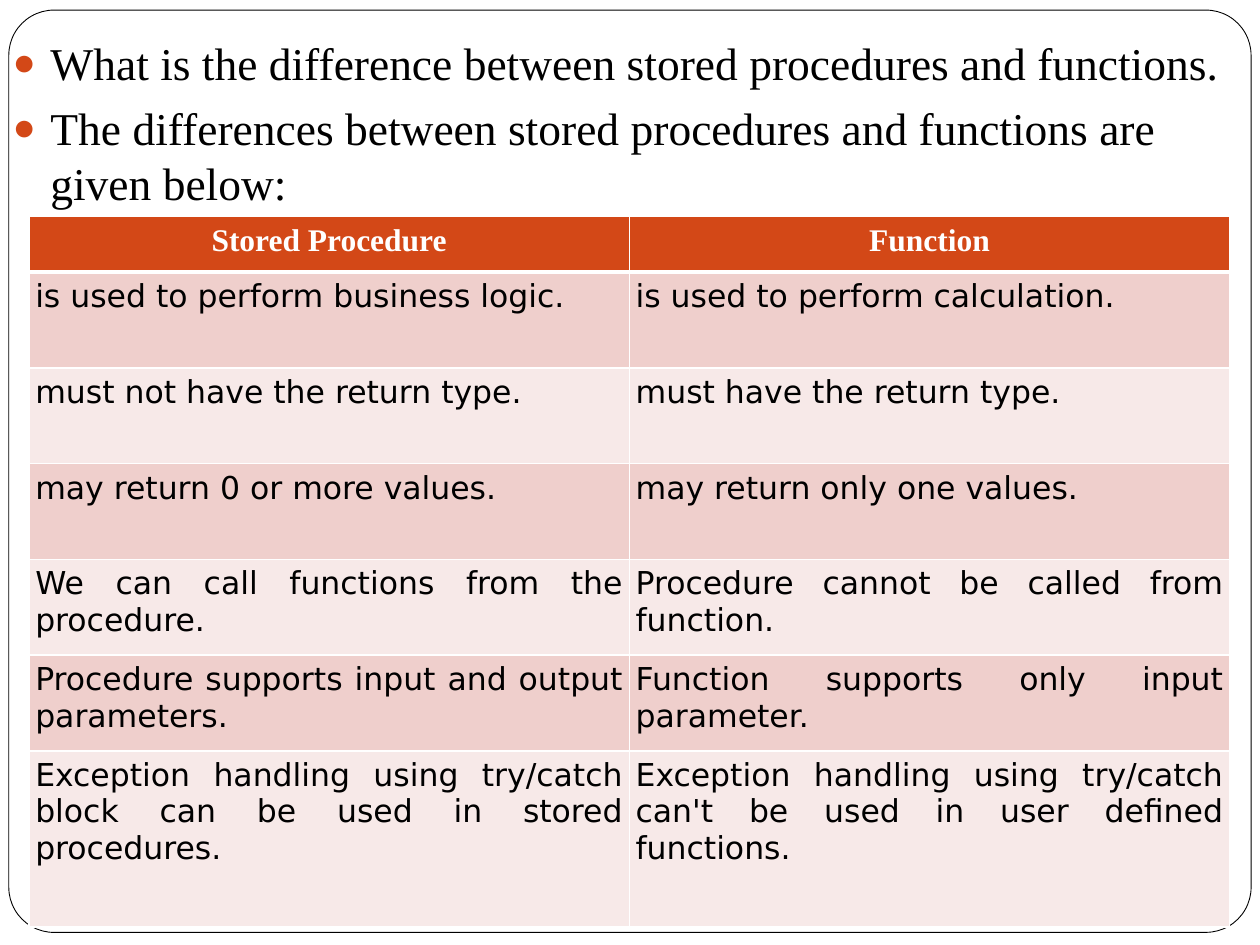
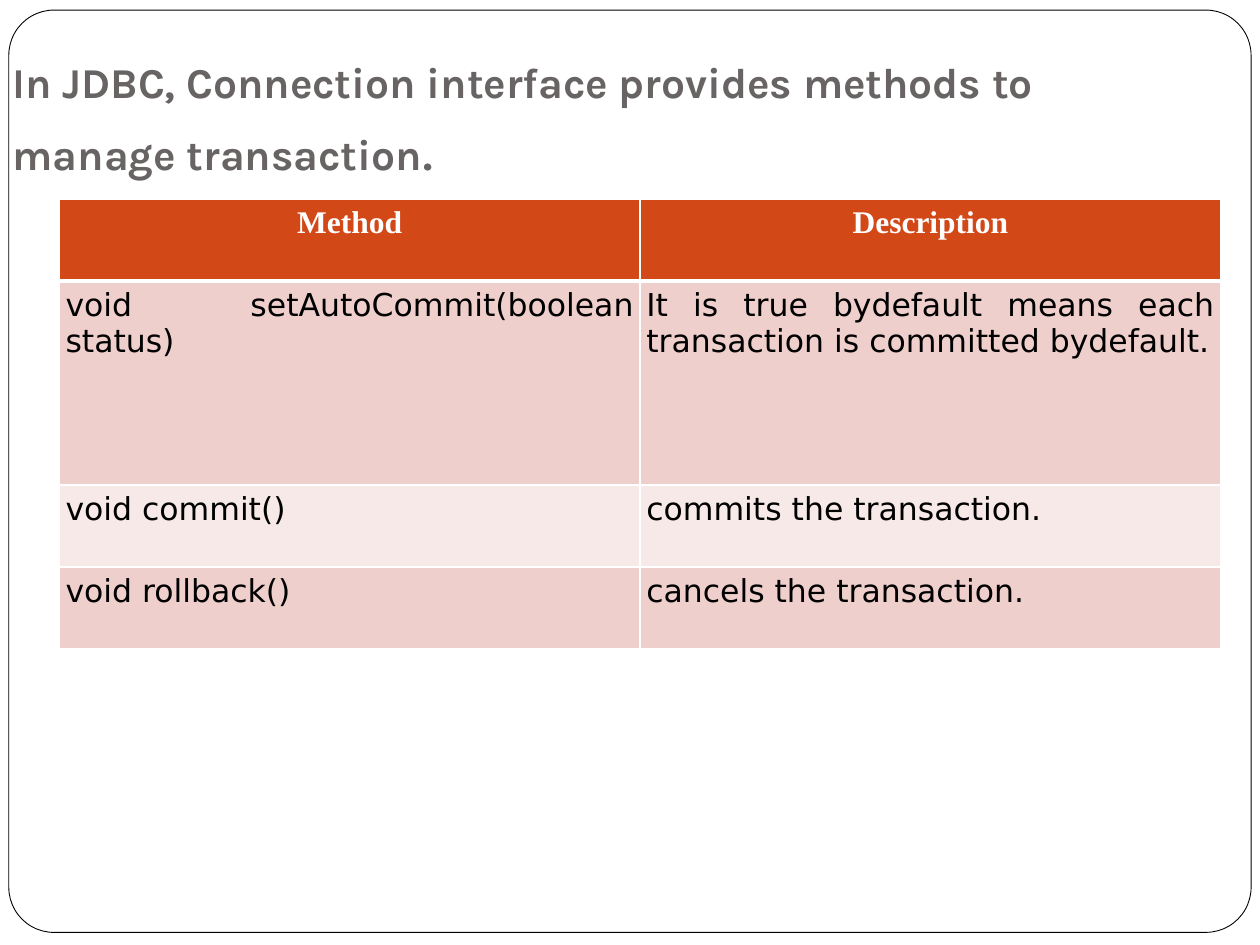
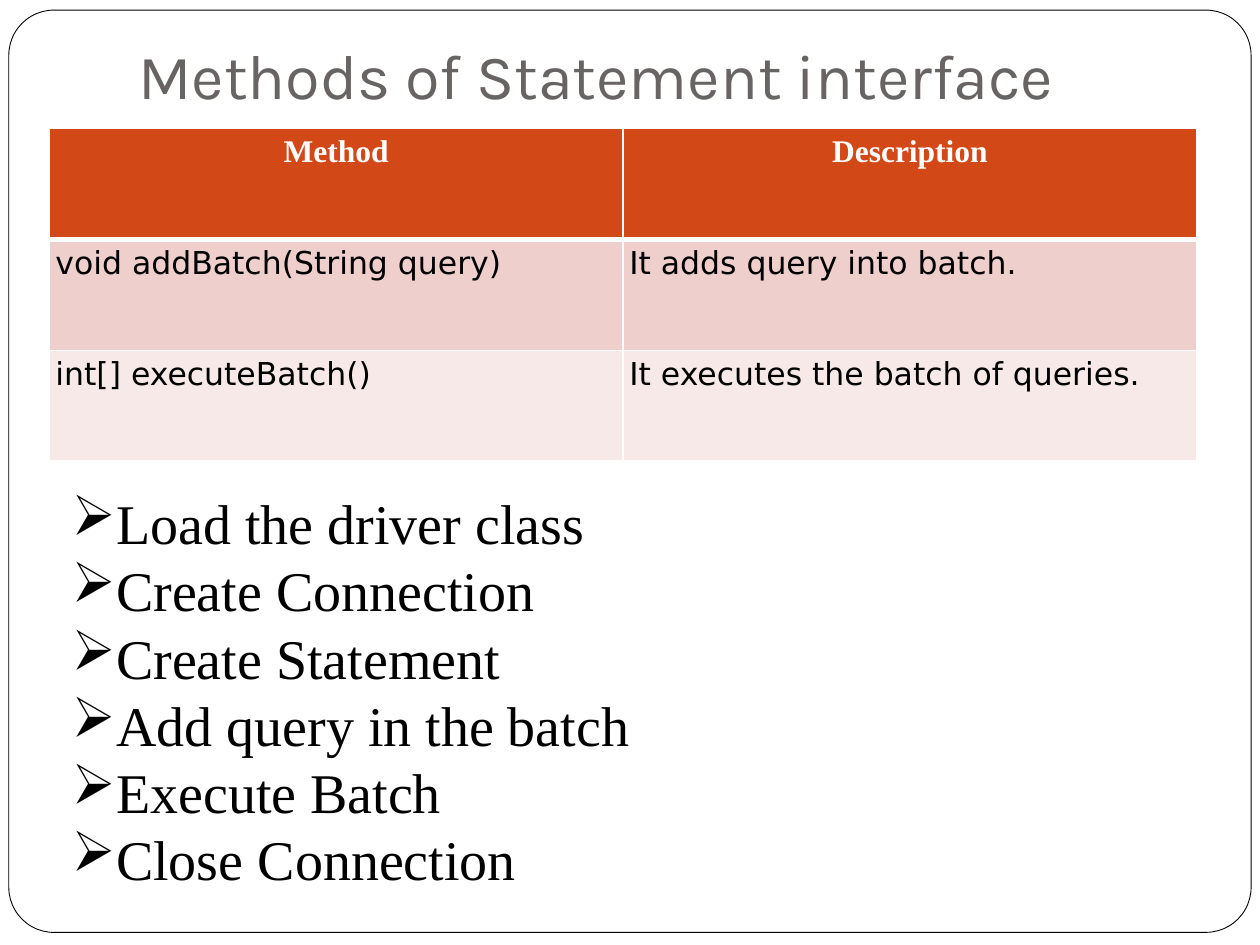
from lxml import etree
from pptx import Presentation
from pptx.dml.color import RGBColor
from pptx.enum.shapes import MSO_SHAPE
from pptx.enum.text import MSO_ANCHOR, MSO_AUTO_SIZE, PP_ALIGN
from pptx.oxml.ns import qn
from pptx.util import Inches, Pt

ROUND = MSO_SHAPE.ROUNDED_RECTANGLE
BOTTOM, TOP = MSO_ANCHOR.BOTTOM, MSO_ANCHOR.TOP
FIXED = MSO_AUTO_SIZE.NONE
LEFT, CENTER, JUSTIFY = PP_ALIGN.LEFT, PP_ALIGN.CENTER, PP_ALIGN.JUSTIFY

ORANGE, GREY, BLACK, WHITE = "D34817", "696464", "000000", "FFFFFF"
BANDS = ["F7E9E8", "EFCFCC"]
SERIF, SANS, HEAD = "Times New Roman", "DejaVu Sans", "Karla"


def rgb(code):
    """Turn a hex string into a colour."""
    return RGBColor.from_string(code)


def style(run, size, face, color, bold=False):
    """Set the font of one run."""
    font = run.font
    font.size, font.name, font.bold = Pt(size), face, bold
    font.color.rgb = rgb(color)


deck = Presentation()
deck.slide_width, deck.slide_height = Inches(10), Inches(7.5)
intro = deck.slides.add_slide(deck.slide_layouts[1])
commit = deck.slides.add_slide(deck.slide_layouts[5])
batch = deck.slides.add_slide(deck.slide_layouts[5])

# Rounded frame, kept on the master behind everything
frame = intro.shapes.add_shape(
    ROUND, Inches(0.07), Inches(0.08), Inches(9.86), Inches(7.32))
frame.adjustments[0] = 0.049
frame.shadow.inherit = False
frame.fill.solid()
frame.fill.fore_color.rgb = rgb(WHITE)
frame.line.color.rgb = rgb(BLACK)
frame.line.width = Pt(0.5)
frame.element.nvSpPr.cNvPr.set("id", "20")
deck.slide_master.shapes[0].element.addprevious(frame.element)

# Titles: slide, left, width, top and bottom inset, runs of text, size, bold
titles = [
    (commit, 0, 9.5, 0.05, 0.1,
     [("In JDBC,\u00a0Connection interface\u00a0provides methods to manage "
       "transaction", 24.3, True), (".", 36, False)]),
    (batch, 1, 8.5, 0, 0.66, [("Methods of Statement interface", 36, False)]),
]
for slide, left, width, above, below, parts in titles:
    title = slide.shapes.title
    title.left, title.top = Inches(left), Inches(0.3)
    title.width, title.height = Inches(width), Inches(1.25)
    text = title.text_frame
    text.auto_size, text.word_wrap = FIXED, True
    text.vertical_anchor = BOTTOM
    text.margin_top, text.margin_bottom = Inches(above), Inches(below)
    para = text.paragraphs[0]
    para.alignment = LEFT
    for words, size, bold in parts:
        run = para.add_run()
        run.text = words
        style(run, size, HEAD, GREY, bold)

# Tables: slide, left, top, column width, row heights, rows
tables = [
    (intro, 0.23, 1.72, 4.765, [0.44] + [0.76] * 5 + [1.4], [
        ("Stored Procedure", "Function"),
        ("is used to perform business logic.",
         "is used to perform calculation."),
        ("must not have the return type.", "must have the return type."),
        ("may return 0 or more values.", "may return only one values."),
        ("We can call functions from the procedure.",
         "Procedure cannot be called from function."),
        ("Procedure supports input and output parameters.",
         "Function supports only input parameter."),
        ("Exception handling using try/catch block can be used in stored "
         "procedures.",
         "Exception handling using try/catch can't be used in user defined "
         "functions."),
    ]),
    (commit, 0.47, 1.58, 4.61, [0.65, 1.62, 0.65, 0.65], [
        ("Method", "Description"),
        ("void setAutoCommit(boolean status)",
         "It is true bydefault means each transaction is committed "
         "bydefault."),
        ("void commit()", "commits the transaction."),
        ("void rollback()", "cancels the transaction."),
    ]),
    (batch, 0.39, 1.02, 4.555, [0.88] * 3, [
        ("Method", "Description"),
        ("void addBatch(String query)", "It adds query into batch."),
        ("int[] executeBatch()", "It executes the batch of queries."),
    ]),
]
for slide, left, top, width, heights, rows in tables:
    grid = slide.shapes.add_table(
        len(rows), 2, Inches(left), Inches(top),
        Inches(2 * width), Inches(sum(heights))).table
    for col in grid.columns:
        col.width = Inches(width)
    for r, words in enumerate(rows):
        grid.rows[r].height = Inches(heights[r])
        for c, word in enumerate(words):
            cell = grid.cell(r, c)
            cell.margin_left = cell.margin_right = Inches(0.05)
            cell.margin_top = cell.margin_bottom = Inches(0.05)
            cell.text_frame.text = word
            para = cell.text_frame.paragraphs[0]
            para.alignment = JUSTIFY if r else CENTER
            if r:
                style(para.runs[0], 18, SANS, BLACK)
            else:
                style(para.runs[0], 18, SERIF, WHITE, True)
            # The rule under the header row is thicker
            thick = {"lnT": r == 1, "lnB": r == 0}
            props = cell._tc.get_or_add_tcPr()
            for side in ("lnL", "lnR", "lnT", "lnB"):
                edge = etree.SubElement(props, qn("a:" + side))
                edge.set("w", str(Pt(3 if thick.get(side) else 1)))
                fill = etree.SubElement(edge, qn("a:solidFill"))
                etree.SubElement(fill, qn("a:srgbClr")).set("val", WHITE)
            cell.fill.solid()
            cell.fill.fore_color.rgb = rgb(BANDS[r % 2] if r else ORANGE)

# Bulleted lists
heading = intro.shapes.title.element
heading.getparent().remove(heading)
body = intro.placeholders[1]
body.left, body.top = Inches(0), Inches(0.23)
body.width, body.height = Inches(10), Inches(7.03)
steps = batch.shapes.add_textbox(
    Inches(0.47), Inches(3.83), Inches(9.3), Inches(3.33))

# Box, mark, mark colour, mark size, indent, space before, size, lines
lists = [
    (body, "\u25cf", ORANGE, 85, 0.3, 5.8, 26, [
        "What is the difference between stored procedures and functions.",
        "The differences between stored procedures and functions are given "
        "below:"]),
    (steps, "\u27a2", BLACK, 100, 0, 0, 32, [
        "Load the driver class", "Create Connection", "Create Statement",
        "Add query in the batch", "Execute Batch", "Close Connection"]),
]
for box, mark, color, scale, indent, gap, size, lines in lists:
    text = box.text_frame
    text.word_wrap, text.auto_size = True, FIXED
    text.vertical_anchor = TOP
    text.text = "\n".join(lines)
    for para in text.paragraphs:
        para.space_before = Pt(gap)
        style(para.runs[0], size, SERIF, BLACK)
        props = para._p.get_or_add_pPr()
        props.set("marL", str(Inches(indent)))
        props.set("indent", str(-Inches(indent)))
        tint = etree.SubElement(props, qn("a:buClr"))
        etree.SubElement(tint, qn("a:srgbClr")).set("val", color)
        etree.SubElement(props, qn("a:buSzPct")).set("val", str(scale * 1000))
        etree.SubElement(props, qn("a:buChar")).set("char", mark)

deck.save("out.pptx")
